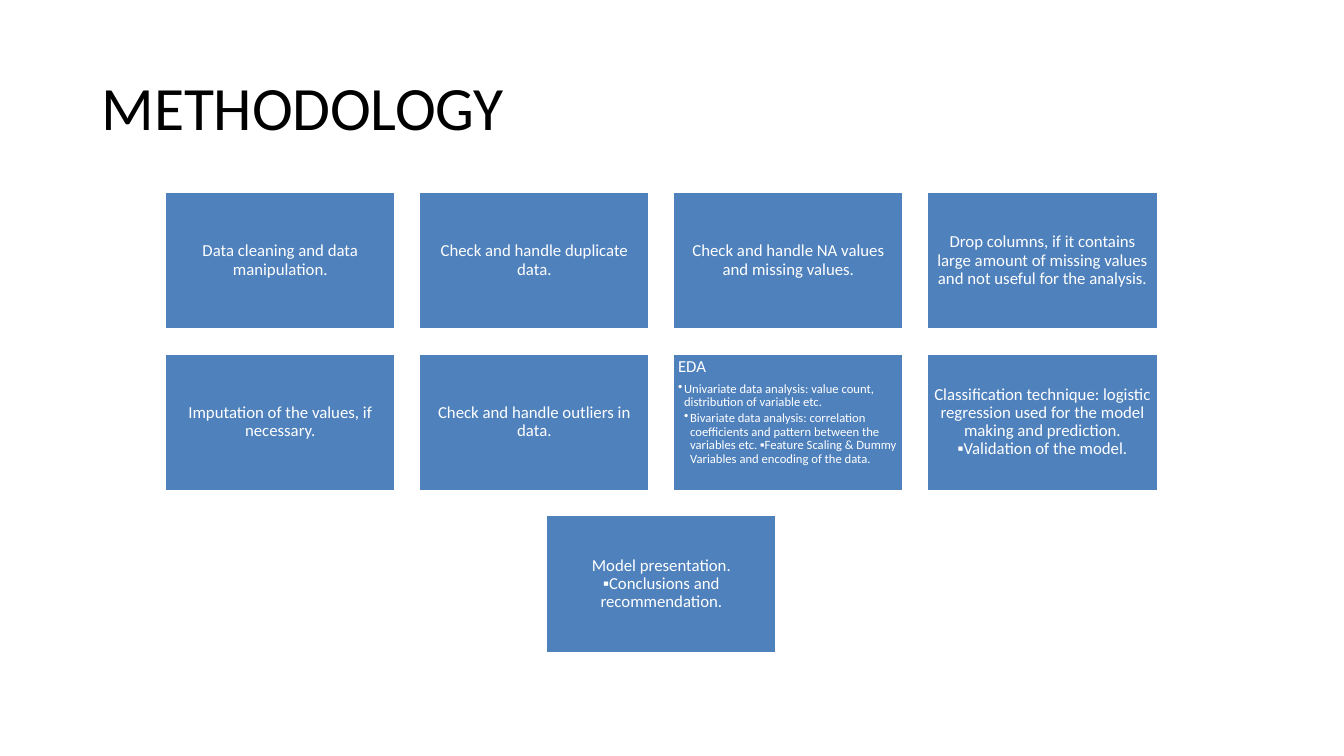
from lxml import etree
from pptx import Presentation
from pptx import util as u
from pptx.dml.color import RGBColor
from pptx.enum import shapes, text
from pptx.oxml.ns import qn

TITLE = "METHODOLOGY"
ROWS = [
    [
        ["Data cleaning and data manipulation."],
        ["Check and handle duplicate data."],
        ["Check and handle NA values and missing values."],
        ["Drop columns, if it contains large amount of missing values and not useful for the analysis."],
    ],
    [
        ["Imputation of the values, if necessary."],
        ["Check and handle outliers in data."],
        [
            "EDA",
            "Univariate data analysis: value count, distribution of variable etc.",
            "Bivariate data analysis: correlation coefficients and pattern between the variables etc. "
            "▪Feature Scaling & Dummy Variables and encoding of the data.",
        ],
        ["Classification technique: logistic regression used for the model making and prediction. "
         "▪Validation of the model."],
    ],
    [["Model presentation. ▪Conclusions and recommendation."]],
]
THEME = {
    "font": "Calibri", "title": "000000", "fill": "4F81BD", "light": "FFFFFF",
    "title_size": 44, "step_size": 12, "detail_size": 9,
}
STEP_WIDTH, STEP_HEIGHT = 2.29, 1.37
PITCH_X, PITCH_Y = 2.52, 1.605
GRID_CENTRE, GRID_TOP = 6.56, 1.9
BULLET_INDENT = 0.06


def write(frame, words, *, first=True, size, color, align=text.PP_ALIGN.LEFT,
          line=1.0, before=0, after=0, level=0, tracking=0):
    para = frame.paragraphs[0] if first else frame.add_paragraph()
    para.alignment = align
    para.line_spacing = line
    para.space_before, para.space_after = u.Pt(before), u.Pt(after)
    para.level = level
    span = para.add_run()
    span.text = words
    span.font.size = u.Pt(size)
    span.font.name = THEME["font"]
    span.font.color.rgb = RGBColor.from_string(color)
    if tracking:
        span.font._element.set("spc", str(round(tracking * 100)))
    if level:
        properties = para._p.get_or_add_pPr()
        properties.set("marL", str(u.Inches(BULLET_INDENT * level)))
        properties.set("indent", str(-u.Inches(BULLET_INDENT)))
        etree.SubElement(properties, qn("a:buChar")).set("char", "•")


def set_frame(frame, anchor, left, top, right, bottom):
    frame.word_wrap = True
    frame.vertical_anchor = anchor
    frame.margin_left, frame.margin_top = u.Inches(left), u.Inches(top)
    frame.margin_right, frame.margin_bottom = u.Inches(right), u.Inches(bottom)


def add_title(page):
    box = page.shapes.add_textbox(u.Inches(1), u.Inches(0.34), u.Inches(10.72), u.Inches(1.42))
    set_frame(box.text_frame, text.MSO_ANCHOR.TOP, 0.01, 0.34, 0, 0)
    write(box.text_frame, TITLE, size=THEME["title_size"], color=THEME["title"],
          before=0.9, tracking=-0.2)


def add_step(page, left, top, lines):
    box = page.shapes.add_shape(shapes.MSO_SHAPE.RECTANGLE, u.Inches(left), u.Inches(top),
                                u.Inches(STEP_WIDTH), u.Inches(STEP_HEIGHT))
    box.shadow.inherit = False
    box.fill.solid()
    box.fill.fore_color.rgb = RGBColor.from_string(THEME["fill"])
    box.line.color.rgb = RGBColor.from_string(THEME["light"])
    box.line.width = u.Pt(2)
    detailed = len(lines) > 1
    anchor = text.MSO_ANCHOR.TOP if detailed else text.MSO_ANCHOR.MIDDLE
    set_frame(box.text_frame, anchor, 0.05, 0.05, 0.05, 0.05)
    for level, words in enumerate(lines):
        size = THEME["detail_size"] if level else THEME["step_size"]
        write(box.text_frame, words, first=level == 0, size=size, color=THEME["light"],
              align=text.PP_ALIGN.LEFT if detailed else text.PP_ALIGN.CENTER,
              line=0.9, after=size * (0.15 if level else 0.35), level=level)


def main():
    deck = Presentation()
    deck.slide_width, deck.slide_height = u.Inches(13.33), u.Inches(7.5)
    page = deck.slides.add_slide(deck.slide_layouts[6])
    add_title(page)
    for row, steps in enumerate(ROWS):
        row_left = GRID_CENTRE - ((len(steps) - 1) * PITCH_X + STEP_WIDTH) / 2
        for column, lines in enumerate(steps):
            add_step(page, row_left + column * PITCH_X, GRID_TOP + row * PITCH_Y, lines)
    deck.save("out.pptx")


if __name__ == "__main__":
    main()
